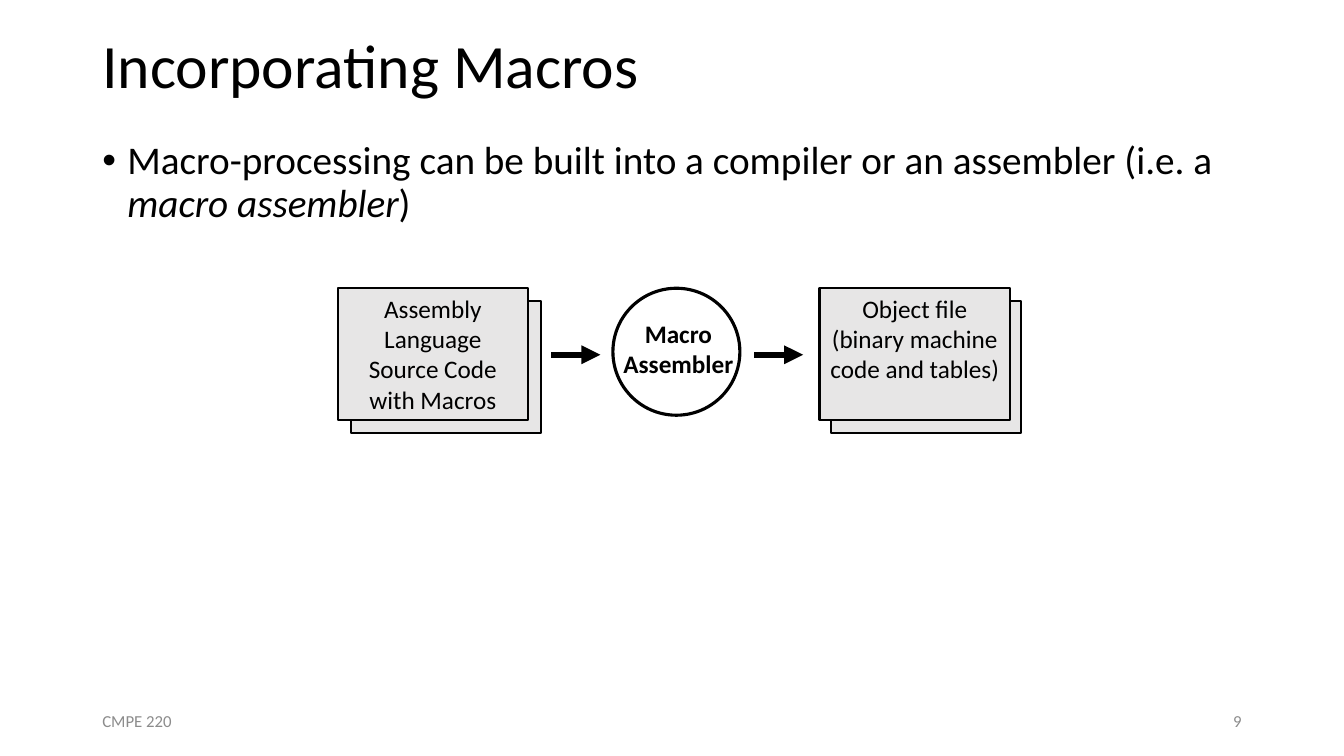
from lxml import etree
from pptx import Presentation
from pptx.dml.color import RGBColor
from pptx.enum.shapes import MSO_CONNECTOR, MSO_SHAPE
from pptx.enum.text import MSO_ANCHOR, PP_ALIGN
from pptx.oxml.ns import qn
from pptx.util import Pt

RECT, OVAL = MSO_SHAPE.RECTANGLE, MSO_SHAPE.OVAL
LINE = MSO_CONNECTOR.STRAIGHT
TOP, MIDDLE = MSO_ANCHOR.TOP, MSO_ANCHOR.MIDDLE
LEFT, CENTER, RIGHT = PP_ALIGN.LEFT, PP_ALIGN.CENTER, PP_ALIGN.RIGHT

BLACK, GREY, PALE = "000000", "8C8C8C", "E7E6E6"
TITLE = "Incorporating Macros"
POINT = ("Macro-processing can be built into a compiler or an assembler (i.e. a "
         "*macro assembler*)")
SOURCE = "Assembly Language Source Code\vwith Macros"
RESULT = "Object file\v(binary machine code and tables) "
FILE_W, FILE_H, FILE_Y = 136, 94.3, 205.9
ARROW_Y = 253.4


def color(code):
    return RGBColor.from_string(code)


def write(frame, text, size=18, ink=BLACK, bold=False, align=LEFT,
          anchor=TOP, wrap=True, space=1.0, bullet=False):
    frame.word_wrap = wrap
    frame.vertical_anchor = anchor
    para = frame.paragraphs[0]
    para.alignment = align
    para.line_spacing = space
    if bullet:
        props = para._p.get_or_add_pPr()
        props.set("marL", str(Pt(18)))
        props.set("indent", str(Pt(-18)))
        etree.SubElement(props, qn("a:buFont")).set("typeface", "Arial")
        etree.SubElement(props, qn("a:buChar")).set("char", "•")
    for part, words in enumerate(text.split("*")):
        for row, line in enumerate(words.split("\v")):
            if row:
                para.add_line_break()
            run = para.add_run()
            run.text = line
            font = run.font
            font.name = "Calibri"
            font.size = Pt(size)
            font.bold = bold
            font.italic = part % 2 == 1
            font.color.rgb = color(ink)


def label(slide, text, x, y, w, h, **style):
    box = slide.shapes.add_textbox(Pt(x), Pt(y), Pt(w), Pt(h))
    write(box.text_frame, text, **style)


def block(slide, kind, x, y, w, h, fill=None, width=1.5):
    shape = slide.shapes.add_shape(kind, Pt(x), Pt(y), Pt(w), Pt(h))
    shape.shadow.inherit = False
    if fill:
        shape.fill.solid()
        shape.fill.fore_color.rgb = color(fill)
    else:
        shape.fill.background()
    shape.line.color.rgb = color(BLACK)
    shape.line.width = Pt(width)
    return shape


def stack(slide, text, x, shift):
    block(slide, RECT, x + shift, FILE_Y + 9.3, FILE_W, FILE_H, PALE)
    front = block(slide, RECT, x, FILE_Y, FILE_W, FILE_H, PALE)
    write(front.text_frame, text, align=CENTER)


def arrow(slide, x, length):
    line = slide.shapes.add_connector(
        LINE, Pt(x), Pt(ARROW_Y), Pt(x + length), Pt(ARROW_Y))
    line.line.color.rgb = color(BLACK)
    line.line.width = Pt(4.5)
    stroke = line.line._get_or_add_ln()
    etree.SubElement(stroke, qn("a:tailEnd")).set("type", "triangle")
    etree.SubElement(line._element.spPr, qn("a:effectLst"))


def main():
    deck = Presentation()
    deck.slide_width, deck.slide_height = Pt(960), Pt(540)
    slide = deck.slides.add_slide(deck.slide_layouts[6])

    label(slide, TITLE, 66, 0, 828, 97.2, size=44, anchor=MIDDLE, space=0.9)
    label(slide, POINT, 66, 97.2, 828, 82.8, size=28, space=0.9, bullet=True)
    foot = {"size": 12, "ink": GREY, "anchor": MIDDLE}
    label(slide, "CMPE 220", 66, 500.5, 216, 28.8, **foot)
    label(slide, "9", 678, 500.5, 216, 28.8, align=RIGHT, **foot)

    stack(slide, SOURCE, 241.2, 9.3)
    arrow(slide, 393.8, 35)
    block(slide, OVAL, 437.8, FILE_Y, 90.7, 90.7, width=2.25)
    label(slide, "Macro\vAssembler", 437.8, 223.9, 93.6, 51.1,
          bold=True, align=CENTER, wrap=False)
    arrow(slide, 538.6, 35)
    stack(slide, RESULT, 585.4, 8)

    deck.save("out.pptx")


if __name__ == "__main__":
    main()
